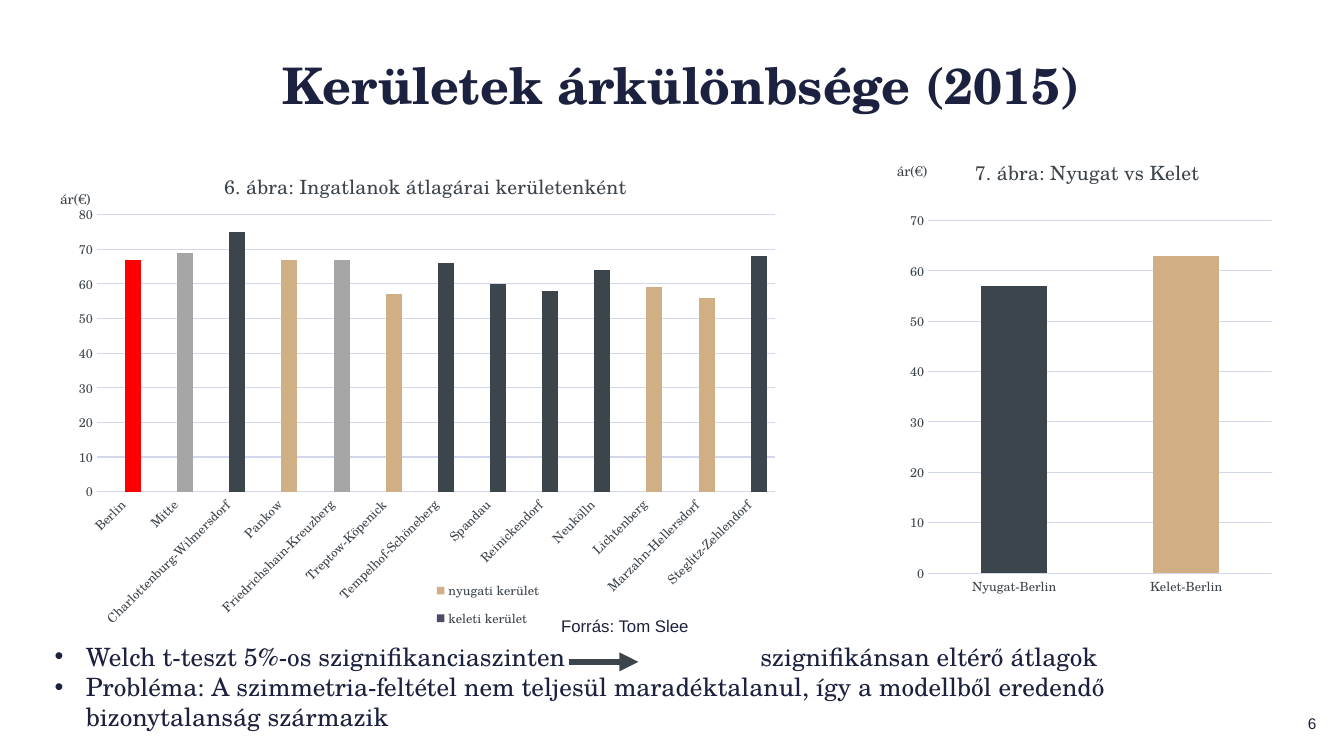
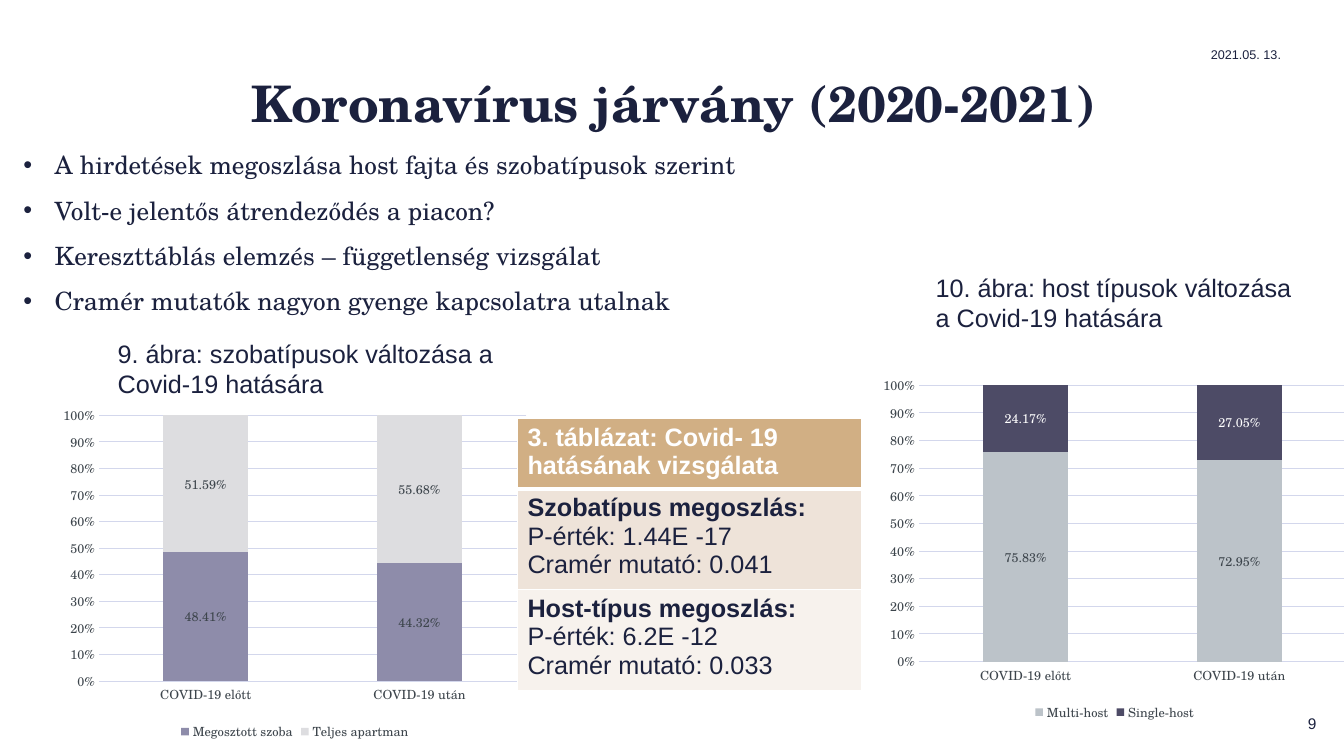
"""Build two slides on Berlin rental prices and the effect of the pandemic."""
from dataclasses import dataclass
from typing import Any, NamedTuple, Optional

import pptx
import pptx.chart.data
import pptx.dml.color
import pptx.enum.chart
import pptx.enum.shapes
import pptx.enum.text
import pptx.oxml
import pptx.oxml.ns
import pptx.util

COLS, ROWS = 160, 90
PRS_W, PRS_H = pptx.util.Inches(13.33), pptx.util.Inches(7.5)
XL = pptx.enum.chart
ANCHOR = pptx.enum.text.MSO_ANCHOR
ALIGN = pptx.enum.text.PP_ALIGN


@dataclass(frozen=True)
class Theme:
    """Colours, fonts and type sizes."""
    navy: str = "1B213E"
    slate: str = "3D454C"
    sand: str = "D1AF84"
    plum: str = "4D4B66"
    lilac: str = "8E8CAA"
    silver: str = "BCC3C9"
    pale: str = "DDDDE0"
    grey: str = "A6A6A6"
    red: str = "FF0000"
    rule: str = "D3D7EC"
    cream: str = "EEE3D9"
    ivory: str = "F7F2ED"
    white: str = "FFFFFF"
    serif: str = "TeX Gyre Schola"
    sans: str = "Arial"

    def font(self, size: float, color: str, name: str, bold: bool = False) -> dict[str, Any]:
        """Return the format values of a font."""
        return {"size": pptx.util.Pt(size), "name": name, "bold": bold, "color": color}


T = Theme()
TITLE = T.font(36, T.navy, T.serif, True)
BODY = T.font(18, T.navy, T.serif)
CAPTION = T.font(18, T.navy, T.sans)
STRONG = T.font(18, T.navy, T.sans, True)
HEADER = T.font(18, T.white, T.sans, True)
SOURCE = T.font(12, T.navy, T.sans)
NUMBER = T.font(11, T.navy, T.sans)
DATE = T.font(9, T.navy, T.sans)
CHART_TITLE = T.font(14, T.slate, T.serif)
AXIS_TITLE = T.font(10, T.slate, T.serif)
TICK = T.font(9, T.slate, T.serif)
TICK_LIGHT = T.font(9, T.white, T.serif)


class Box(NamedTuple):
    """A place on the slide grid, in columns and rows."""
    x: float
    y: float
    w: float
    h: float

    def emu(self) -> tuple[int, int, int, int]:
        """Return left, top, width and height in EMU."""
        return col(self.x), row(self.y), col(self.w), row(self.h)


class Line(NamedTuple):
    """A paragraph and its format."""
    text: str
    fmt: dict[str, Any]
    spacing: float = 1.0


class Series(NamedTuple):
    """A chart series, with point colours and label font if any."""
    name: str
    vals: list[Optional[float]]
    color: str
    points: tuple[str, ...] = ()
    label: Optional[dict[str, Any]] = None


class Layout(NamedTuple):
    """Percentages of a chart's size, used for its parts."""
    x: float
    y: float
    w: Optional[float] = None
    h: Optional[float] = None


@dataclass(frozen=True)
class ColumnChart:
    """A column chart; one with a title plots prices, else shares."""
    box: Box
    cats: list[str]
    series: list[Series]
    gap: int = 150
    overlap: int = 100
    title: str = ""
    top: float = 0
    title_at: Layout = Layout(0, 0)
    unit_at: Layout = Layout(0, 0)
    plot_at: Layout = Layout(0, 0)
    legend: Any = None
    legend_at: Optional[Layout] = None
    angle: int = 0


def col(n: float) -> int:
    """Convert grid columns to EMU."""
    return round(PRS_W * n / COLS)


def row(n: float) -> int:
    """Convert grid rows to EMU."""
    return round(PRS_H * n / ROWS)


def rgb(color: str) -> Any:
    """Return a colour object."""
    return pptx.dml.color.RGBColor.from_string(color)


def put(obj: Any, **values: Any) -> None:
    """Set attributes from format values."""
    for key, value in values.items():
        if key == "color":
            obj.color.rgb = rgb(value)
        else:
            setattr(obj, key, value)


def paint(fmt: Any, color: str) -> None:
    """Give a solid fill."""
    fmt.fill.solid()
    fmt.fill.fore_color.rgb = rgb(color)


def xml(body: str) -> Any:
    """Parse an element that uses the a and c prefixes."""
    tag, rest = body[1:].split(" ", 1)
    return pptx.oxml.parse_xml(f'<{tag} {pptx.oxml.ns.nsdecls("a", "c")} {rest}')


def write(tf: Any, lines: list[Line], bullets: bool = False, align: Any = None) -> None:
    """Write paragraphs into a text frame."""
    for i, line in enumerate(lines):
        p = tf.paragraphs[0] if i == 0 else tf.add_paragraph()
        put(p, alignment=align, line_spacing=line.spacing)
        if bullets:
            pPr = p._p.get_or_add_pPr()
            indent = pptx.util.Inches(0.31)
            pPr.set("marL", str(indent))
            pPr.set("indent", str(-indent))
            pPr.append(xml('<a:buFont typeface="Arial"/>'))
            pPr.append(xml('<a:buChar char="•"/>'))
            stops = "".join(f'<a:tab pos="{pptx.util.Inches(n)}" algn="l"/>' for n in (6, 7))
            if "\t" in line.text:
                pPr.append(xml(f"<a:tabLst >{stops}</a:tabLst>"))
        r = p.add_run()
        r.text = line.text
        put(r.font, **line.fmt)


def add_text(s: Any, box: Box, lines: list[Line], anchor: Any = ANCHOR.TOP,
             inset: tuple[float, float] = (0, 0), **kw: Any) -> Any:
    """Add a wrapped text box."""
    sp = s.shapes.add_textbox(*box.emu())
    tf = sp.text_frame
    dx, dy = map(pptx.util.Inches, inset)
    put(tf, word_wrap=True, vertical_anchor=anchor,
        margin_left=dx, margin_right=dx, margin_top=dy, margin_bottom=dy)
    write(tf, lines, **kw)
    return sp


def new_slide(prs: Any, title: str, title_box: Box, number: int,
              body: list[Line], body_box: Box) -> Any:
    """Add a slide with page number, bullets and title."""
    s = prs.slides.add_slide(prs.slide_layouts[6])
    sp = add_text(s, Box(153.5, 83.4, 5.4, 5.5), [Line(str(number), NUMBER)],
                  ANCHOR.MIDDLE, align=ALIGN.CENTER)
    paint(sp, T.white)
    add_text(s, body_box, body, bullets=True)
    add_text(s, title_box, [Line(title, TITLE)])
    return s


def layout(at: Layout, inner: bool = False) -> Any:
    """Return a manual layout element."""
    target = '<c:layoutTarget val="inner"/>' if inner else ""
    modes = '<c:xMode val="edge"/><c:yMode val="edge"/>'
    sizes = "".join(f'<c:{k} val="{v / 100:.3f}"/>'
                    for k, v in at._asdict().items() if v is not None)
    return xml(f"<c:layout ><c:manualLayout>{target}{modes}{sizes}</c:manualLayout></c:layout>")


def drop_layout(el: Any) -> None:
    """Remove the layout of a chart part."""
    for old in el.xpath("c:layout"):
        el.remove(old)


def place_title(title: Any, text: str, fmt: dict[str, Any], at: Layout) -> None:
    """Write a horizontal chart or axis title at a given spot."""
    write(title.text_frame, [Line(text, fmt)])
    el = title._element
    drop_layout(el)
    el.xpath("c:tx")[0].addnext(layout(at))
    bodyPr = el.xpath("c:tx/c:rich/a:bodyPr")[0]
    bodyPr.set("rot", "0")
    bodyPr.set("vert", "horz")


def style_axes(chart: Any, c: ColumnChart) -> None:
    """Format both axes and the gridlines."""
    cat, val = chart.category_axis, chart.value_axis
    for axis in (cat, val):
        put(axis, major_tick_mark=XL.XL_TICK_MARK.NONE, minor_tick_mark=XL.XL_TICK_MARK.NONE)
        put(axis.tick_labels.font, **TICK)
    for line in (cat.format.line, val.major_gridlines.format.line):
        put(line, color=T.rule, width=pptx.util.Pt(0.75))
    val.format.line.fill.background()
    put(val.tick_labels, number_format="General" if c.title else "0%",
        number_format_is_linked=False)
    if c.angle:
        cat._element.xpath("c:txPr/a:bodyPr")[0].set("rot", str(c.angle * 60000))
    if c.title:
        put(val, minimum_scale=0, maximum_scale=c.top, major_unit=10)
        place_title(val.axis_title, "ár(€)", AXIS_TITLE, c.unit_at)


def style_series(ser: Any, data: Series) -> None:
    """Colour a series, its points and its labels."""
    paint(ser.format, data.color)
    for i, color in enumerate(data.points):
        paint(ser.points[i].format, color)
    if data.label:
        put(ser.data_labels, show_value=True, number_format="0.00%",
            number_format_is_linked=False, position=XL.XL_LABEL_POSITION.CENTER)
        put(ser.data_labels.font, **data.label)


def add_column_chart(s: Any, c: ColumnChart) -> None:
    """Add a column chart."""
    data = pptx.chart.data.CategoryChartData()
    data.categories = c.cats
    for item in c.series:
        data.add_series(item.name, item.vals)
    kind = XL.XL_CHART_TYPE.COLUMN_CLUSTERED if c.title else XL.XL_CHART_TYPE.COLUMN_STACKED_100
    chart = s.shapes.add_chart(kind, *c.box.emu(), data).chart
    put(chart.font, **AXIS_TITLE)
    put(chart, has_title=bool(c.title), has_legend=c.legend is not None)
    put(chart.plots[0], gap_width=c.gap, overlap=c.overlap, vary_by_categories=False)
    style_axes(chart, c)
    for ser, item in zip(chart.plots[0].series, c.series):
        style_series(ser, item)
    if c.title:
        place_title(chart.chart_title, c.title, CHART_TITLE, c.title_at)
        area = chart._chartSpace.xpath("c:chart/c:plotArea")[0]
        drop_layout(area)
        area.insert(0, layout(c.plot_at, True))
    if c.legend is not None:
        put(chart.legend, position=c.legend, include_in_layout=False)
        put(chart.legend.font, **TICK)
    if c.legend_at:
        el = chart.legend._element
        drop_layout(el)
        el.xpath("c:legendPos")[0].addnext(layout(c.legend_at))
    chart._chartSpace.xpath("c:chart")[0].addnext(
        xml("<c:spPr ><a:noFill/><a:ln><a:noFill/></a:ln></c:spPr>"))


def add_arrow(s: Any, x1: float, x2: float, y: float) -> None:
    """Add a thick horizontal arrow."""
    cx = s.shapes.add_connector(pptx.enum.shapes.MSO_CONNECTOR.STRAIGHT,
                                col(x1), row(y), col(x2), row(y))
    put(cx.line, color=T.slate, width=pptx.util.Pt(4.5))
    cx.line._get_or_add_ln().append(xml('<a:tailEnd type="triangle"/>'))
    cx._element.spPr.append(xml("<a:effectLst />"))


def add_test_table(s: Any, box: Box, rows: list[tuple[float, str, list[Line]]]) -> None:
    """Add a one-column table with white borders."""
    tbl = s.shapes.add_table(len(rows), 1, *box.emu()).table
    for i, (height, color, lines) in enumerate(rows):
        tbl.rows[i].height = row(height)
        cell = tbl.cell(i, 0)
        write(cell.text_frame, lines)
        tcPr = cell._tc.get_or_add_tcPr()
        for side in "LRTB":
            thick = (i, side) in ((0, "B"), (1, "T"))
            tcPr.append(xml(f'<a:ln{side} w="{pptx.util.Pt(3 if thick else 1)}"><a:solidFill>'
                            f'<a:srgbClr val="{T.white}"/></a:solidFill></a:ln{side}>'))
        paint(cell, color)


def build_prices(prs: Any) -> None:
    """Build the slide on district prices."""
    body = ["Welch t-teszt 5%-os szignifikanciaszinten\t\tszignifikánsan eltérő átlagok",
            "Probléma: A szimmetria-feltétel nem teljesül maradéktalanul, "
            "így a modellből eredendő bizonytalanság származik"]
    s = new_slide(prs, "Kerületek árkülönbsége (2015)", Box(33.6, 6.4, 107.2, 9.1), 6,
                  [Line(t, BODY) for t in body], Box(6.5, 76.3, 138.8, 10.4))
    add_arrow(s, 67.7, 76, 78.8)
    add_column_chart(s, ColumnChart(
        Box(105.5, 16.2, 48, 58.4), ["Nyugat-Berlin", "Kelet-Berlin"],
        [Series("Series 1", [57, 63], T.sand, (T.slate, T.sand))], 162, -27,
        "7. ábra: Nyugat vs Kelet", 70, Layout(21.1, 3.2), Layout(2, 4.2),
        Layout(10.4, 17.2, 85.4, 71.9)))
    districts = ["Berlin", "Mitte", "Charlottenburg-Wilmersdorf", "Pankow",
                 "Friedrichshain-Kreuzberg", "Treptow-Köpenick", "Tempelhof-Schöneberg",
                 "Spandau", "Reinickendorf", "Neukölln", "Lichtenberg",
                 "Marzahn-Hellersdorf", "Steglitz-Zehlendorf"]
    prices = [67, 69, 75, 67, 67, 57, 66, 60, 58, 64, 59, 56, 68]
    sides = (T.red, T.grey, T.slate, T.sand, T.grey, T.sand, *[T.slate] * 4,
             T.sand, T.sand, T.slate)
    add_column_chart(s, ColumnChart(
        Box(6.5, 17.9, 88.2, 58.4), districts,
        [Series("nyugati kerület", [None] * len(districts), T.sand),
         Series("keleti kerület", prices, T.plum, sides)], 100, -27,
        "6. ábra: Ingatlanok átlagárai kerületenként", 80, Layout(22.4, 3),
        Layout(0.4, 7), Layout(5.7, 13.1, 91.5, 56.5),
        XL.XL_LEGEND_POSITION.CORNER, Layout(49.5, 86.1, 18, 13), -45))
    add_text(s, Box(66.8, 73.3, 36, 2.4), [Line("Forrás: Tom Slee", SOURCE)], ANCHOR.BOTTOM)


def build_pandemic(prs: Any) -> None:
    """Build the slide on the pandemic."""
    body = ["A hirdetések megoszlása host fajta és szobatípusok szerint",
            "Volt-e jelentős átrendeződés a piacon?",
            "Kereszttáblás elemzés – függetlenség vizsgálat",
            "Cramér mutatók nagyon gyenge kapcsolatra utalnak"]
    s = new_slide(prs, "Koronavírus járvány (2020-2021)", Box(29.9, 8.6, 109.6, 9.1), 9,
                  [Line(t, BODY, 1.5 if i else 1.0) for i, t in enumerate(body)],
                  Box(2.8, 17.8, 130, 19.9))
    add_text(s, Box(116.5, 5.6, 36, 2.4), [Line("2021.05. 13.", DATE)], align=ALIGN.RIGHT)
    rooms = [Series("Megosztott szoba", [0.4841, 0.4432], T.lilac, label=TICK),
             Series("Teljes apartman", [0.5159, 0.5568], T.pale, label=TICK)]
    hosts = [Series("Multi-host", [0.7583, 0.7295], T.silver, label=TICK),
             Series("Single-host", [0.2417, 0.2705], T.plum, label=TICK_LIGHT)]
    for box, series in ((Box(6.4, 47.5, 57.4, 41.2), rooms), (Box(104, 43.9, 57.4, 42.5), hosts)):
        add_column_chart(s, ColumnChart(box, ["COVID-19 előtt", "COVID-19 után"], series,
                                        legend=XL.XL_LEGEND_POSITION.BOTTOM))
    add_text(s, Box(14, 40.2, 49.8, 7.3),
             [Line("9. ábra: szobatípusok változása a Covid-19 hatására", CAPTION)], ANCHOR.BOTTOM)
    add_text(s, Box(110.2, 31.8, 47, 8.5),
             [Line("10. ábra: host típusok változása a Covid-19 hatására", CAPTION)],
             inset=(0.1, 0.05))
    tests = [(T.cream, "Szobatípus megoszlás:", "1.44E -17", "0.041"),
             (T.ivory, "Host-típus megoszlás:", "6.2E -12", "0.033")]
    add_test_table(s, Box(61.6, 49.8, 41, 32.2), [
        (8.2, T.sand, [Line("3. táblázat: Covid- 19 hatásának vizsgálata", HEADER)]),
        *((12, color, [Line(name, STRONG), Line(f"P-érték: {p}", CAPTION),
                       Line(f"Cramér mutató: {v}", CAPTION)]) for color, name, p, v in tests)])


def main() -> None:
    """Build and save the presentation."""
    prs = pptx.Presentation()
    put(prs, slide_width=PRS_W, slide_height=PRS_H)
    build_prices(prs)
    build_pandemic(prs)
    prs.save("out.pptx")


if __name__ == "__main__":
    main()
